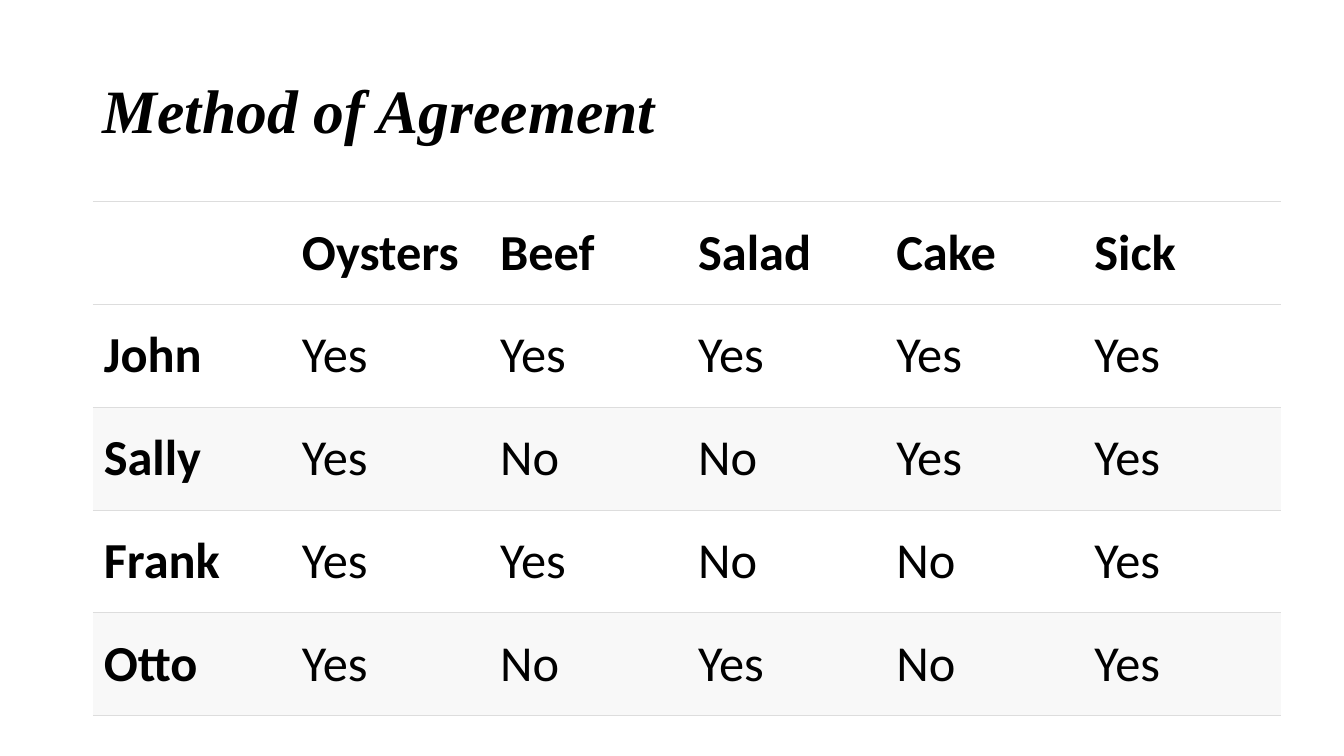
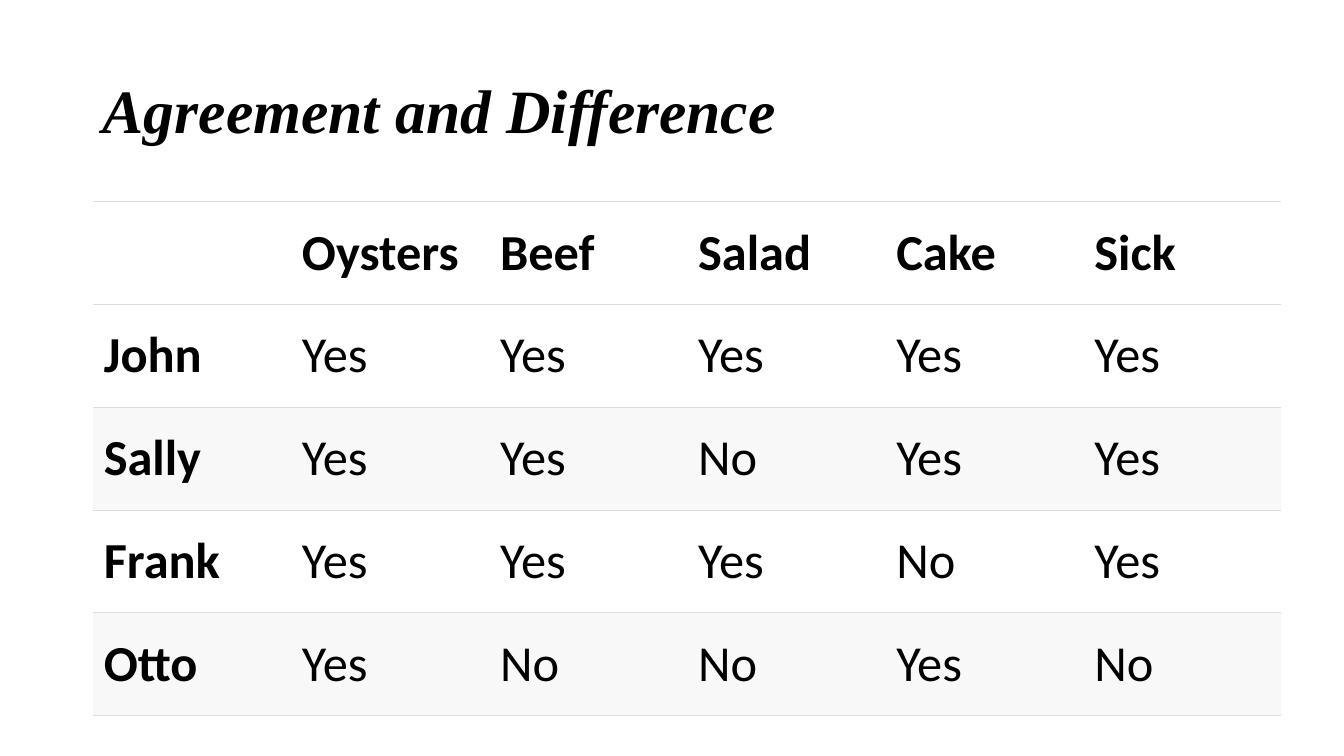
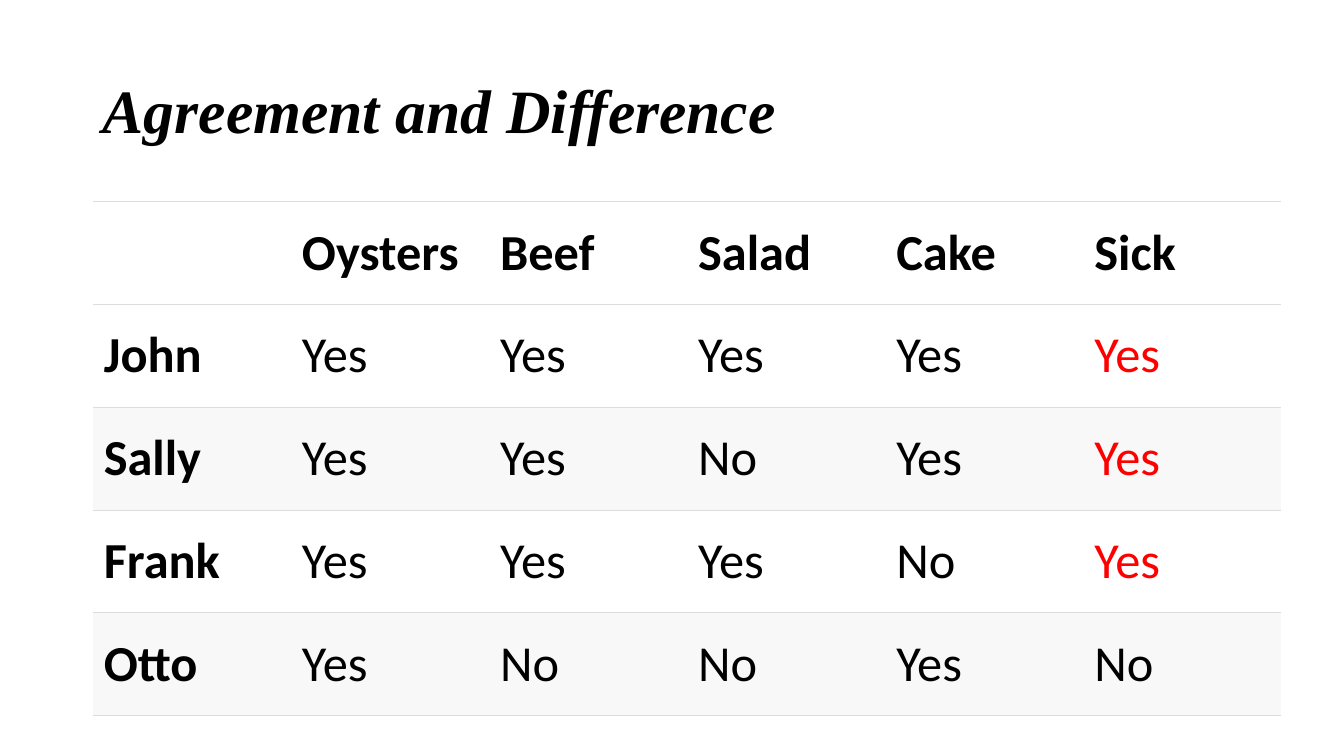
"""Build three slides of yes/no tables on the methods of agreement and difference."""
from lxml import etree
from pptx import Presentation
from pptx.dml.color import RGBColor
from pptx.enum.text import MSO_ANCHOR, MSO_AUTO_SIZE, PP_ALIGN
from pptx.oxml.ns import qn
from pptx.util import Inches, Pt

MIDDLE = MSO_ANCHOR.MIDDLE
LEFT = PP_ALIGN.LEFT
NO_AUTOFIT = MSO_AUTO_SIZE.NONE

HEADER = ["", "Oysters", "Beef", "Salad", "Cake", "Sick"]
AGREEMENT = [
    ["John", "Yes", "Yes", "Yes", "Yes", "Yes"],
    ["Sally", "Yes", "No", "No", "Yes", "Yes"],
    ["Frank", "Yes", "Yes", "No", "No", "Yes"],
    ["Otto", "Yes", "No", "Yes", "No", "Yes"],
]
DIFFERENCE = [
    ["John", "Yes", "Yes", "Yes", "Yes", "Yes"],
    ["Sally", "Yes", "Yes", "No", "Yes", "Yes"],
    ["Frank", "Yes", "Yes", "Yes", "No", "Yes"],
    ["Otto", "Yes", "No", "No", "Yes", "No"],
]
SLIDES = [
    {"title": "Method of Agreement", "rows": AGREEMENT, "mark_sick": False},
    {"title": "Agreement and Difference", "rows": DIFFERENCE, "mark_sick": False},
    {"title": "Agreement and Difference", "rows": DIFFERENCE, "mark_sick": True},
]

COLORS = {"text": "000000", "sick": "FF0000", "plain": "FFFFFF", "band": "F8F8F8", "rule": "DDDDDD"}
TITLE_FONT, BODY_FONT = "Times New Roman", "Calibri"
MARGIN_LEFT, TABLE_TOP = 0.92, 2
TABLE_WIDTH, TABLE_HEIGHT = 11.79, 5.1
RULE, LAST_RULE = 0.6, 1.2


def style_run(r, font, size, color, bold, italic=False):
    r.font.name, r.font.size = font, Pt(size)
    r.font.bold, r.font.italic = bold, italic
    r.font.color.rgb = RGBColor.from_string(COLORS[color])


def add_title(s, text):
    title = s.shapes.title
    title.left, title.top = Inches(MARGIN_LEFT), Inches(0.4)
    title.width, title.height = Inches(11.5), Inches(1.45)
    tf = title.text_frame
    tf.text = text
    tf.auto_size, tf.vertical_anchor = NO_AUTOFIT, MIDDLE
    p = tf.paragraphs[0]
    p.alignment, p.line_spacing = LEFT, 0.9
    style_run(p.runs[0], TITLE_FONT, 44, "text", True, True)


def set_borders(cell, bottom):
    tc_pr = cell._tc.get_or_add_tcPr()
    for side, width in (("L", 0), ("R", 0), ("T", RULE), ("B", bottom)):
        ln = etree.SubElement(tc_pr, qn(f"a:ln{side}"), w=str(Pt(width)))
        if width:
            fill = etree.SubElement(ln, qn("a:solidFill"))
            etree.SubElement(fill, qn("a:srgbClr"), val=COLORS["rule"])
        else:
            etree.SubElement(ln, qn("a:noFill"))


def format_cell(cell, text, fill, color, bold, bottom):
    set_borders(cell, bottom)
    cell.fill.solid()
    cell.fill.fore_color.rgb = RGBColor.from_string(COLORS[fill])
    cell.vertical_anchor = MIDDLE
    cell.margin_left = cell.margin_right = Inches(0.11)
    cell.margin_top = cell.margin_bottom = Inches(0.05)
    cell.text = text
    for r in cell.text_frame.paragraphs[0].runs:
        style_run(r, BODY_FONT, 36, color, bold)


def add_meal_table(s, rows, mark_sick):
    grid = [HEADER] + rows
    last_row, sick_col = len(grid) - 1, len(HEADER) - 1
    table = s.shapes.add_table(
        len(grid), len(HEADER), Inches(MARGIN_LEFT), Inches(TABLE_TOP),
        Inches(TABLE_WIDTH), Inches(TABLE_HEIGHT)).table
    for i, row in enumerate(grid):
        fill = "band" if i and i % 2 == 0 else "plain"
        bottom = LAST_RULE if i == last_row else RULE
        for j, text in enumerate(row):
            marked = mark_sick and j == sick_col and text == "Yes"
            color = "sick" if marked else "text"
            format_cell(table.cell(i, j), text, fill, color, i == 0 or j == 0, bottom)


def main():
    prs = Presentation()
    prs.slide_width, prs.slide_height = Inches(13.33), Inches(7.5)
    title_only = prs.slide_layouts.get_by_name("Title Only")
    for content in SLIDES:
        s = prs.slides.add_slide(title_only)
        add_title(s, content["title"])
        add_meal_table(s, content["rows"], content["mark_sick"])
    prs.save("out.pptx")


if __name__ == "__main__":
    main()
